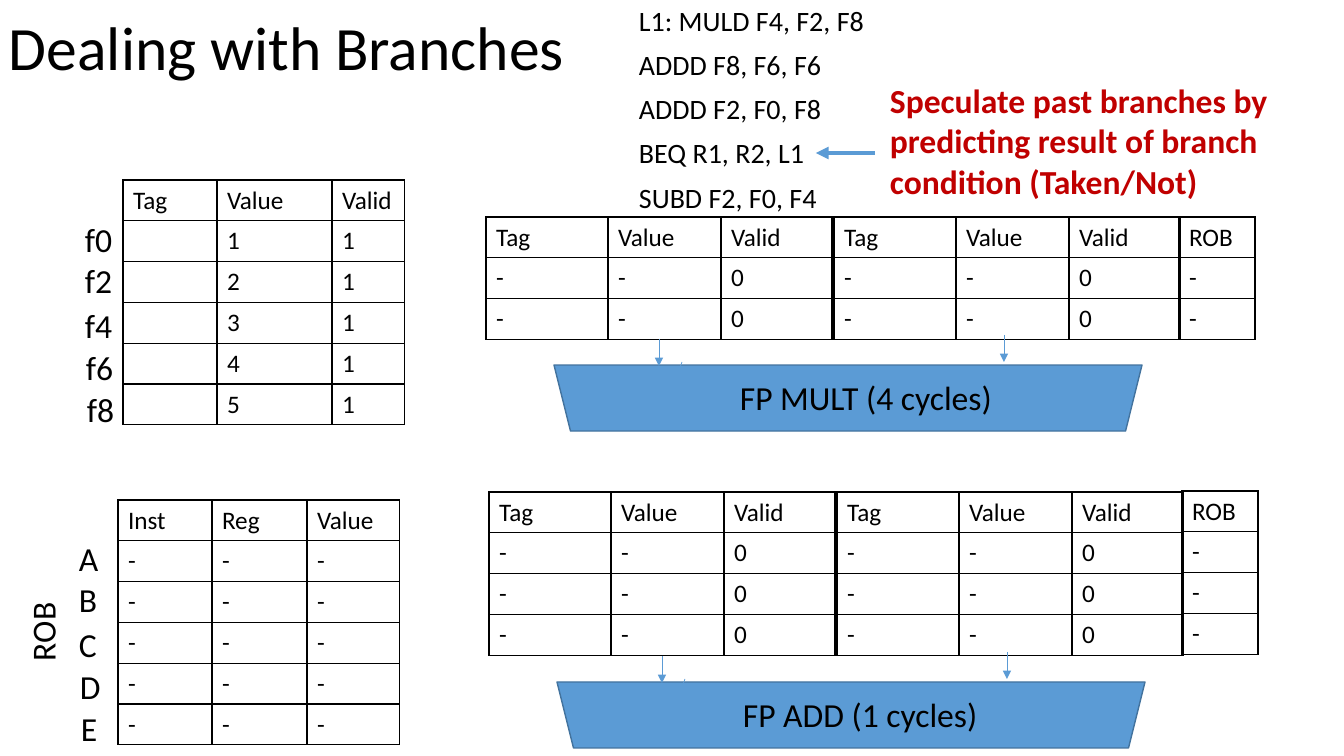
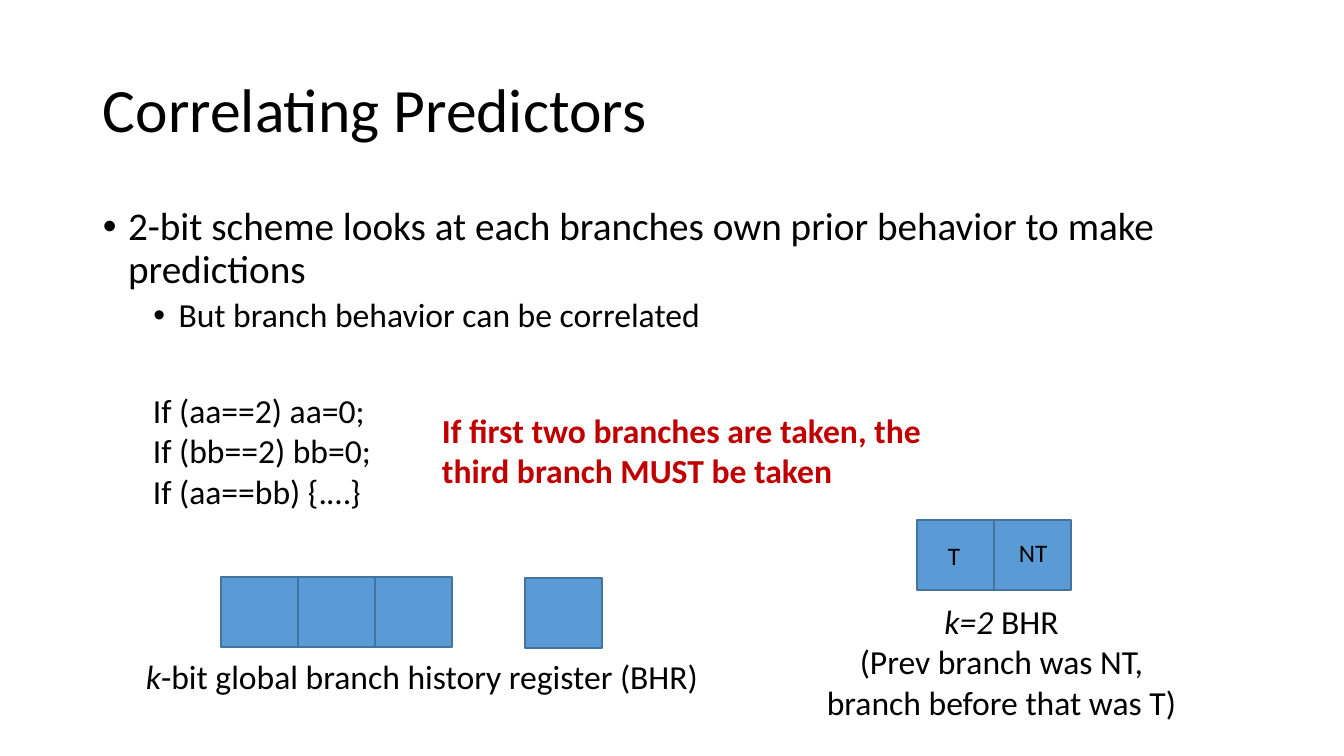
from pptx import Presentation
from pptx.util import Pt
from pptx.dml.color import RGBColor
from pptx.enum.shapes import MSO_SHAPE, MSO_CONNECTOR
from pptx.enum.text import MSO_ANCHOR, PP_ALIGN
from pptx.oxml import parse_xml
from pptx.oxml.ns import nsdecls
from pptx.oxml.xmlchemy import OxmlElement

# Shared look
PX = 914400 / 100.8
FONT = "Calibri"
BLACK, RED, BLUE, EDGE = "000000", "C00000", "5B9BD5", "43739E"
tint = RGBColor.from_string

deck = Presentation()
deck.slide_width, deck.slide_height = round(1344 * PX), round(756 * PX)
blank = deck.slide_layouts[6]


def text(slide, place, words, size=24, color=BLACK, bold=False, lean="",
         wrap=True, align=PP_ALIGN.LEFT, pitch=None, before=0):
    """Add a text box; lean is an italic start of the first line."""
    box = slide.shapes.add_textbox(*[round(n * PX) for n in place])
    frame = box.text_frame
    frame.text = words
    frame.word_wrap = wrap
    if lean:
        first = frame.paragraphs[0]
        rest = first.text
        first.text = lean
        first.add_run().text = rest
        first.runs[0].font.italic = True
    for para in frame.paragraphs:
        para.alignment = align
        para.line_spacing = pitch
        para.space_before = Pt(before)
        for run in para.runs:
            run.font.name, run.font.size = FONT, Pt(size)
            run.font.bold = bold
            run.font.color.rgb = tint(color)
    return frame


def block(slide, kind, place):
    """Add a blue shape with a thin edge."""
    part = slide.shapes.add_shape(kind, *[round(n * PX) for n in place])
    part.shadow.inherit = False
    part.fill.solid()
    part.fill.fore_color.rgb = tint(BLUE)
    part.line.color.rgb = tint(EDGE)
    part.line.width = Pt(1)
    return part


# Slides and titles
pages = []
for title, place in [("Dealing with Branches", (-1, -22, 627, 146)),
                     ("Correlating Predictors", (93, 40, 1159, 146))]:
    page = deck.slides.add_slide(blank)
    frame = text(page, place, title, 44, pitch=0.9)
    frame.vertical_anchor = MSO_ANCHOR.MIDDLE
    pages.append(page)
tables, theory = pages

# Slide 1: code and register labels
text(tables, (629, 2, 291, 305),
     "L1: MULD F4, F2, F8\nADDD F8, F6, F6\nADDD F2, F0, F8\n"
     "BEQ R1, R2, L1\nSUBD F2, F0, F4", 20, pitch=0.9, before=10)
for left, top, names in [(75, 214, ["f0", "f2", "f4", "f6", "f8"]),
                         (69, 533, "ABCDE")]:
    for name, down, nudge in zip(names, (0, 41, 86, 128, 170),
                                 (0, 0, 0, 1, 2)):
        text(tables, (left + nudge, top + down, 62, 50), name)
text(tables, (2, 606, 80, 50), "ROB", wrap=False)
tables.shapes[-1].rotation = 270

# Slide 1: functional units, with their tables and arrows
head, idle = ["Tag", "Value", "Valid"], ["-", "-", "0"]
grids = [
    (123, 180, (94, 115, 73),
     [head] + [["", str(n), "1"] for n in range(1, 6)]),
    (118, 500, (94, 95, 93), [["Inst", "Reg", "Value"]] + [["-"] * 3] * 5),
]
arrows = [(875, 153, 816, 153, 3)]
for name, slots, dx, top, dy, wide in [
        ("FP MULT (4 cycles)", 2, 0, 217, 0, 274),
        ("FP ADD (1 cycles)", 3, 3, 492, 317, 257)]:
    for left in (486, 834):
        grids.append((left + dx, top, (122, 113, 111), [head] + [idle] * slots))
    grids.append((1179 + dx, top - dx // 2, (76,), [["ROB"]] + [["-"]] * slots))
    unit = block(tables, MSO_SHAPE.TRAPEZOID, (554 + dx, 365 + dy, 588, 66))
    unit.rotation = 180
    text(tables, (730 + dx, 372 + dy, wide, 50), name, wrap=False)
    for x, y, to, end in [(1004, 335, 1004, 362), (682, 362, 675, 382),
                          (659, 339, 659, 366)]:
        arrows.append((x + dx, y + dy, to + dx, end + dy, 0.5))

for left, top, widths, rows in grids:
    place = (left, top, sum(widths), 41 * len(rows))
    grid = tables.shapes.add_table(len(rows), len(widths),
                                   *[round(n * PX) for n in place]).table
    grid.first_row = grid.horz_banding = False
    for col, width in zip(grid.columns, widths):
        col.width = round(width * PX)
    for line, row in zip(grid.rows, rows):
        line.height = round(40.8 * PX)
        for cell, word in zip(line.cells, row):
            cell.text = word
            para = cell.text_frame.paragraphs[0]
            para.font.size = Pt(18)
            for run in para.runs:
                run.font.name, run.font.size = FONT, Pt(18)
                run.font.color.rgb = tint(BLACK)
            props = cell._tc.get_or_add_tcPr()
            for side in "LRTB":
                props.append(parse_xml(
                    f'<a:ln{side} {nsdecls("a")} w="12700"><a:solidFill>'
                    f'<a:srgbClr val="{BLACK}"/></a:solidFill></a:ln{side}>'))
            cell.fill.background()

for x, y, to, end, weight in arrows:
    wire = tables.shapes.add_connector(
        MSO_CONNECTOR.STRAIGHT, *[round(n * PX) for n in (x, y, to, end)])
    wire.line.color.rgb = tint(BLUE)
    wire.line.width = Pt(weight)
    tip = OxmlElement("a:tailEnd")
    tip.set("type", "triangle")
    props = wire._element.spPr
    props.ln.append(tip)
    props.append(OxmlElement("a:effectLst"))

text(tables, (880, 75, 446, 132), "Speculate past branches by predicting "
     "result of branch condition (Taken/Not)", color=RED, bold=True)

# Slide 2: bullets
frame = text(theory, (93, 202, 1159, 480),
             "2-bit scheme looks at each branches own prior behavior to make "
             "predictions\nBut branch behavior can be correlated", pitch=0.9)
for para, size, gap, left in zip(frame.paragraphs, (28, 24), (10, 5),
                                 (228600, 685800)):
    para.space_before = Pt(gap)
    para.runs[0].font.size = Pt(size)
    props = para._p.get_or_add_pPr()
    props.set("marL", str(left))
    props.set("indent", "-228600")
    props.append(parse_xml(f'<a:buFont {nsdecls("a")} typeface="Arial"/>'))
    props.append(parse_xml(f'<a:buChar {nsdecls("a")} char="•"/>'))

# Slide 2: example
text(theory, (143, 385, 244, 132),
     "If (aa==2) aa=0;\nIf (bb==2) bb=0;\nIf (aa==bb) {.…}", wrap=False)
text(theory, (432, 405, 573, 92), "If first two branches are taken, the "
     "third branch MUST be taken", color=RED, bold=True)

# Slide 2: history registers
for left, top in [(221, 577), (298, 577), (375, 577), (525, 578),
                  (917, 520), (994, 520)]:
    block(theory, MSO_SHAPE.RECTANGLE, (left, top, 77, 70))
text(theory, (133, 651, 578, 50), "-bit global branch history register (BHR)",
     lean="k", wrap=False, align=PP_ALIGN.CENTER)
text(theory, (938, 535, 32, 40), "T", 18, wrap=False)
text(theory, (1009, 532, 49, 40), "NT", 18, wrap=False)
text(theory, (815, 596, 373, 132),
     "BHR\n(Prev branch was NT,\nbranch before that was T)",
     lean="k=2 ", wrap=False, align=PP_ALIGN.CENTER)

deck.save("out.pptx")
